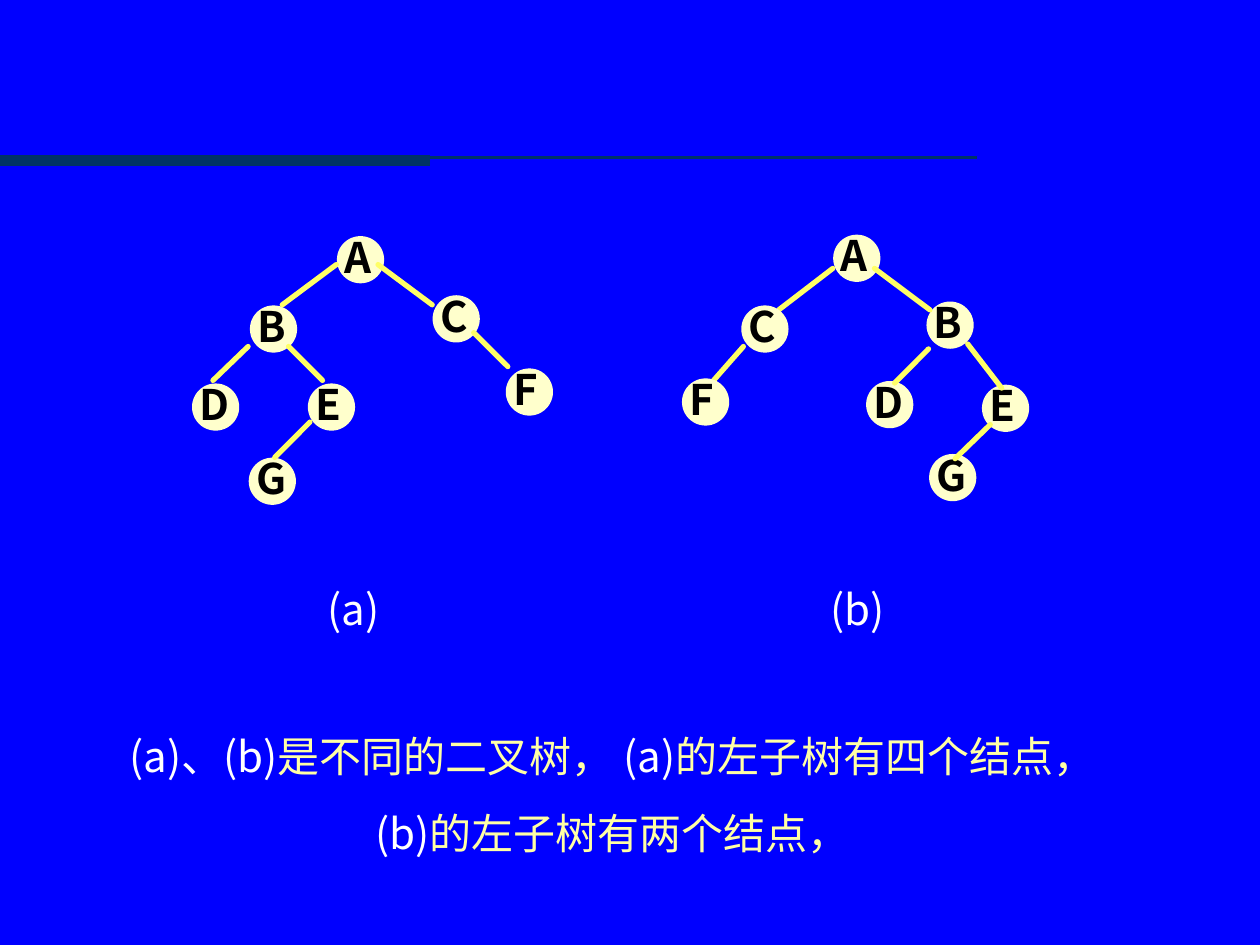
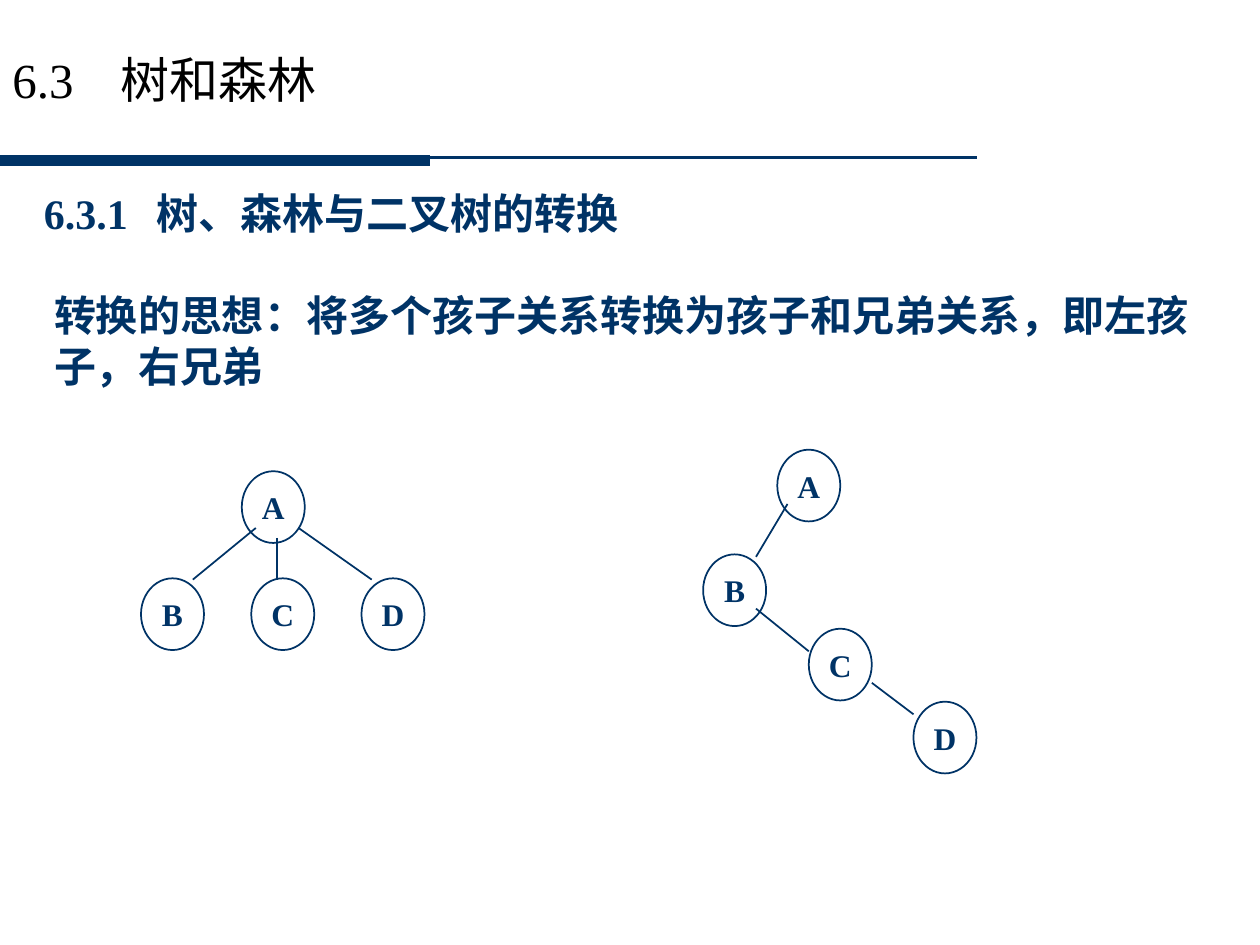
from lxml.etree import SubElement
from pptx import Presentation
from pptx.dml.color import RGBColor
from pptx.enum.shapes import MSO_CONNECTOR, MSO_SHAPE
from pptx.enum.text import MSO_ANCHOR, PP_ALIGN
from pptx.oxml.ns import qn
from pptx.util import Pt

BLUE = RGBColor(0x00, 0x00, 0xFF)
NAVY = RGBColor(0x00, 0x33, 0x66)
WHITE = RGBColor(0xFF, 0xFF, 0xFF)
BLACK = RGBColor(0x00, 0x00, 0x00)
CREAM = RGBColor(0xFF, 0xFF, 0xCC)
YELLOW = RGBColor(0xFF, 0xFF, 0x66)
PALE_YELLOW = RGBColor(0xFF, 0xFF, 0xA5)

SANS = "Noto Sans CJK SC"
SERIF = "Times New Roman"

# Text formats
NODE_LABEL = {"name": SANS, "size": Pt(24), "bold": True}
BODY = {"name": SANS, "size": Pt(24)}
TITLE = {"name": SERIF, "size": Pt(28)}
HEADING = {"name": SERIF, "size": Pt(24), "bold": True}
RING_LABEL = {"name": SERIF, "size": Pt(18), "bold": True}

# Trees: node corners and edge ends, relative to the corner of the tree box
TREE_A = {
    "nodes": {"A": (83, 0.4), "F": (179.5, 76), "G": (32.6, 127), "E": (66.4, 84.6),
              "D": (0.2, 84.6), "C": (137.7, 34.2), "B": (33.3, 40)},
    "edges": [(82.2, 16.2, 51.3, 39.2), (106, 16.2, 137, 39.2), (54.9, 63, 74.3, 82.4),
              (67.1, 106.2, 47, 126.4), (31.8, 63, 11.7, 82.4), (160.7, 55.1, 180.2, 74.5)],
}
TREE_B = {
    "nodes": {"A": (86.6, 0.6), "G": (141.4, 125.9), "E": (171.6, 86.3),
              "D": (105.4, 84.2), "B": (139.9, 38.8)},
    "edges": [(85.9, 19.4, 55, 43.1), (109.7, 19.4, 141.4, 43.1), (163, 62.6, 182.4, 87.8),
              (175.9, 108.6, 155.8, 128.1), (140.6, 65.4, 121.2, 84.9), (34.8, 64, 13.9, 87.8)],
    "front_nodes": {"C": (34.1, 41), "F": (0.2, 82.7)},
}
CHILD_TREE = {
    "nodes": {"A": (58.2, 0.3)} | {name: (0.6 + 63 * column, 61.5)
                                   for column, name in enumerate("BCD")},
    "edges": [(78.4, 38.4, 78.4, 62.2), (66.2, 32.7, 30.2, 62.2), (90.6, 32.7, 132.4, 62.2)],
}
SIBLING_TREE = {
    "nodes": {"A": (43.2, 0), "B": (0.8, 59.8), "C": (61.2, 102.3), "D": (121, 144)},
    "edges": [(49, 31, 31, 61.2), (31, 90.8, 61.2, 115.2), (97.2, 133.2, 121, 151.2)],
}


def set_format(target, values):
    for name, value in values.items():
        setattr(target, name, value)


def add_run(paragraph, text, font_format, color):
    run = paragraph.add_run()
    run.text = text
    set_format(run.font, font_format)
    run.font.color.rgb = color
    SubElement(run.font._element, qn("a:ea")).set("typeface", SANS)


def add_text(shapes, box, paragraphs, font_format, align=PP_ALIGN.LEFT, tab=None, **frame_values):
    """Each paragraph is a list of (text, color) runs."""
    frame = shapes.add_textbox(*map(Pt, box)).text_frame
    set_format(frame, {"word_wrap": True} | frame_values)
    for index, runs in enumerate(paragraphs):
        paragraph = frame.add_paragraph() if index else frame.paragraphs[0]
        if tab:
            tabs = SubElement(paragraph._p.get_or_add_pPr(), qn("a:tabLst"))
            SubElement(tabs, qn("a:tab"), pos=str(Pt(tab)), algn="l")
        paragraph.alignment = align
        if index:
            paragraph.space_before = Pt(15)
        for text, color in runs:
            add_run(paragraph, text, font_format, color)


def add_line(slide, ends, color, width, cap="flat"):
    line = slide.shapes.add_connector(MSO_CONNECTOR.STRAIGHT, *map(Pt, ends))
    line.line.color.rgb = color
    line.line.width = Pt(width)
    line.line._ln.set("cap", cap)
    SubElement(line._element.spPr, qn("a:effectLst"))


def add_ellipse(shapes, box, color):
    ellipse = shapes.add_shape(MSO_SHAPE.OVAL, *map(Pt, box))
    ellipse.shadow.inherit = False
    ellipse.line.color.rgb = color
    ellipse.line.width = Pt(1)
    return ellipse


def add_disc_node(slide, left, top, name):
    group = slide.shapes.add_group_shape()
    disc = add_ellipse(group.shapes, (left, top, 26, 26), CREAM)
    disc.fill.solid()
    disc.fill.fore_color.rgb = CREAM
    add_text(group.shapes, (left - 7, top - 6.8, 46.8, 36), [[(name, BLACK)]],
             NODE_LABEL, margin_left=Pt(10.8))


def add_ring_node(slide, left, top, name):
    ring = add_ellipse(slide.shapes, (left, top, 36, 41), NAVY)
    ring.fill.background()
    frame = ring.text_frame
    set_format(frame, {"word_wrap": False, "vertical_anchor": MSO_ANCHOR.MIDDLE,
                       "margin_left": 0, "margin_right": 0})
    paragraph = frame.paragraphs[0]
    paragraph.alignment = PP_ALIGN.CENTER
    add_run(paragraph, name, RING_LABEL, NAVY)


def draw_tree(slide, left, top, tree, add_node, color, width, cap="flat"):
    def place_nodes(nodes):
        for name, (x, y) in nodes.items():
            add_node(slide, left + x, top + y, name)

    place_nodes(tree["nodes"])
    for x1, y1, x2, y2 in tree["edges"]:
        add_line(slide, (left + x1, top + y1, left + x2, top + y2), color, width, cap)
    place_nodes(tree.get("front_nodes", {}))


def add_slide(presentation, background):
    """Blank slide with the shared two-weight rule below the title."""
    slide = presentation.slides.add_slide(presentation.slide_layouts[6])
    slide.background.fill.solid()
    slide.background.fill.fore_color.rgb = background
    add_line(slide, (558, 90, 0, 90), NAVY, 1.5)
    add_line(slide, (0, 91.7, 246, 91.7), NAVY, 6)
    return slide


def build_comparison_slide(presentation):
    slide = add_slide(presentation, BLUE)
    # Two trees with captions
    for left, top, tree, caption, caption_left in (
            (110, 135, TREE_A, "(a)", 28.2), (390, 134, TREE_B, "(b)", 36.2)):
        draw_tree(slide, left, top, tree, add_disc_node, YELLOW, 3, "rnd")
        add_text(slide.shapes, (left + caption_left, 330, 127.4, 36),
                 [[(caption, WHITE)]], BODY, PP_ALIGN.CENTER)
    # Conclusion
    add_text(slide.shapes, (41, 414, 617.8, 108.7), [
        [("(a)、(b)", WHITE), ("是不同的二叉树， ", PALE_YELLOW),
         ("(a)", WHITE), ("的左子树有四个结点，", PALE_YELLOW)],
        [("(b)", WHITE), ("的左子树有两个结点，", PALE_YELLOW)],
    ], BODY, PP_ALIGN.CENTER)


def build_conversion_slide(presentation):
    slide = add_slide(presentation, WHITE)
    # Title and headings
    add_text(slide.shapes, (0, 0, 612, 90), [[("6.3\t树和森林", BLACK)]], TITLE,
             tab=62, vertical_anchor=MSO_ANCHOR.MIDDLE)
    add_text(slide.shapes, (18, 103.7, 702, 36),
             [[("6.3.1\t树、森林与二叉树的转换", NAVY)]], HEADING, tab=64.5)
    add_text(slide.shapes, (23.8, 162, 671.8, 64.8),
             [[("转换的思想：将多个孩子关系转换为孩子和兄弟关系，即左孩子，右兄弟", NAVY)]], HEADING)
    # Tree and its binary form
    draw_tree(slide, 80, 269, CHILD_TREE, add_ring_node, NAVY, 1)
    draw_tree(slide, 401, 257, SIBLING_TREE, add_ring_node, NAVY, 1)


def main():
    presentation = Presentation()
    presentation.slide_width = Pt(720)
    presentation.slide_height = Pt(540)
    build_comparison_slide(presentation)
    build_conversion_slide(presentation)
    presentation.save("out.pptx")


if __name__ == "__main__":
    main()
